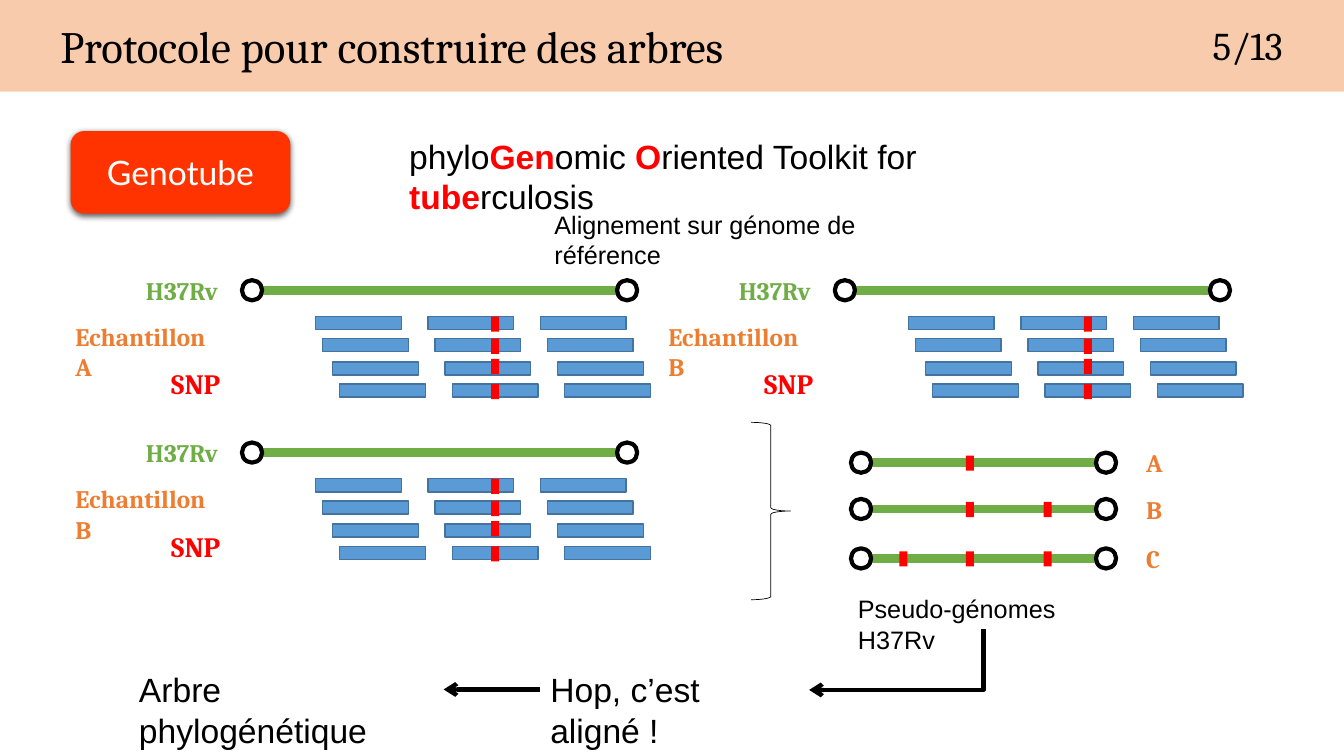
from lxml.etree import SubElement
from pptx import Presentation
from pptx.dml.color import RGBColor
from pptx.enum.shapes import MSO_CONNECTOR, MSO_SHAPE
from pptx.enum.text import MSO_ANCHOR, PP_ALIGN
from pptx.oxml.ns import qn
from pptx.util import Inches, Pt

BLACK = RGBColor(0x00, 0x00, 0x00)
WHITE = RGBColor(0xFF, 0xFF, 0xFF)
RED = RGBColor(0xFF, 0x00, 0x00)
GREEN = RGBColor(0x70, 0xAD, 0x47)
ORANGE = RGBColor(0xED, 0x7D, 0x31)
BLUE = RGBColor(0x5B, 0x9B, 0xD5)
DARK_BLUE = RGBColor(0x43, 0x73, 0x9E)
PEACH = RGBColor(0xF8, 0xCB, 0xAD)
VERMILION = RGBColor(0xFF, 0x33, 0x00)

# Content
TITLE = "Protocole pour construire des arbres"
PAGE_NUMBER = "5/13"
TOOL = "Genotube"
# (text, highlighted)
TOOL_MEANING = [("phylo", False), ("Gen", True), ("omic ", False), ("O", True),
                ("riented Toolkit for ", False), ("tube", True), ("rculosis", False)]
ALIGNMENT = "Alignement sur génome de référence"
REFERENCE = "H37Rv"
VARIANT = "SNP"
# (sample, left and top of the reference genome)
PANELS = [("Echantillon A", 2.4, 2.78),
          ("Echantillon B", 8.28, 2.78),
          ("Echantillon B", 2.4, 4.39)]
# (label, top, left of each variant)
PSEUDO_GENOMES = [("A", 4.49, [9.58]),
                  ("B", 4.95, [9.58, 10.35]),
                  ("C", 5.44, [8.92, 9.58, 10.35])]
PSEUDO_CAPTION = "Pseudo-génomes H37Rv"
ALIGNED = "Hop, c’est aligné !"
TREE = "Arbre phylogénétique"

# Rows of reads below a reference: (shift right, read top, variant top)
READ_ROWS = [(0, 0.36, 0.36), (0.07, 0.58, 0.58), (0.17, 0.81, 0.78), (0.24, 1.03, 1.03)]
READ_COLUMNS = 3
READ_LEFT, READ_STEP = 0.73, 1.115
VARIANT_LEFT = 2.47
RING = 0.2

deck = Presentation()
deck.slide_width, deck.slide_height = Inches(13.33), Inches(7.5)
page = deck.slides.add_slide(deck.slide_layouts[6])


def add_box(kind, left, top, width, height, fill=None, line=None, weight=1):
    box = page.shapes.add_shape(kind, Inches(left), Inches(top), Inches(width), Inches(height))
    box.shadow.inherit = False
    if fill is None:
        box.fill.background()
    else:
        box.fill.solid()
        box.fill.fore_color.rgb = fill
    if line is None:
        box.line.fill.background()
    else:
        box.line.color.rgb = line
        box.line.width = Pt(weight)
    return box


def add_span(para, text, font, size, color, bold=False):
    span = para.add_run()
    span.text = text
    span.font.name = font
    span.font.size = Pt(size)
    span.font.bold = bold
    span.font.color.rgb = color


def add_text(left, top, width, height, spans, font, size):
    box = page.shapes.add_textbox(Inches(left), Inches(top), Inches(width), Inches(height))
    box.text_frame.word_wrap = True
    for text, color, bold in spans:
        add_span(box.text_frame.paragraphs[0], text, font, size, color, bold)
    return box


def add_label(left, top, width, text, color, size=18):
    add_text(left, top, width, 0.4, [(text, color, True)], "Cambria", size)


def add_line(kind, start_x, start_y, end_x, end_y, color, weight, arrow=False):
    line = page.shapes.add_connector(kind, Inches(start_x), Inches(start_y),
                                     Inches(end_x), Inches(end_y))
    line.line.color.rgb = color
    line.line.width = Pt(weight)
    properties = line._element.spPr
    if arrow:
        SubElement(properties.find(qn("a:ln")), qn("a:tailEnd"), type="arrow")
    SubElement(properties, qn("a:effectLst"))
    return line


def add_genome(left, right, top):
    middle = top + RING / 2
    add_line(MSO_CONNECTOR.STRAIGHT, left + RING, middle, right, middle, GREEN, 6)
    for ring_left in (left, right):
        add_box(MSO_SHAPE.OVAL, ring_left, top, RING, RING, WHITE, BLACK, 3)


def add_variant(left, top):
    add_box(MSO_SHAPE.RECTANGLE, left, top, 0.08, 0.15, RED)


# Title band
band = add_box(MSO_SHAPE.RECTANGLE, 0, 0, 13.33, 0.91, PEACH)
band.text_frame.word_wrap = True
band.text_frame.vertical_anchor = MSO_ANCHOR.MIDDLE
para = band.text_frame.paragraphs[0]
para.alignment = PP_ALIGN.JUSTIFY
para.level = 1
para._p.get_or_add_pPr().set("marL", str(Inches(0.5)))
para._p.get_or_add_pPr().set("indent", "0")
add_span(para, TITLE, "Cambria", 32, BLACK)
add_text(11.93, 0.16, 1.04, 0.57, [(PAGE_NUMBER, BLACK, False)], "Cambria", 28)

# Tool name and its meaning
tool = add_box(MSO_SHAPE.ROUNDED_RECTANGLE, 0.7, 1.3, 2.18, 0.82, VERMILION)
tool.text_frame.vertical_anchor = MSO_ANCHOR.MIDDLE
para = tool.text_frame.paragraphs[0]
para.alignment = PP_ALIGN.CENTER
add_span(para, TOOL, "Lato", 24, WHITE)
effects = tool._element.spPr.find(qn("a:effectLst"))
shadow = SubElement(effects, qn("a:outerShdw"), blurRad=str(Pt(4.5)), dist=str(Pt(1.5)),
                    dir="5400000", rotWithShape="0")
shade = SubElement(shadow, qn("a:srgbClr"), val="000000")
SubElement(shade, qn("a:alpha"), val="63000")
add_text(3.96, 1.3, 6.78, 0.5,
         [(text, RED if marked else BLACK, marked) for text, marked in TOOL_MEANING],
         "Arial", 24)
add_text(5.4, 2.03, 3.89, 0.4, [(ALIGNMENT, BLACK, False)], "Arial", 18)

# Reads aligned on the reference genome
for sample, left, top in PANELS:
    for shift, read_top, _ in READ_ROWS:
        for column in range(READ_COLUMNS):
            add_box(MSO_SHAPE.RECTANGLE, left + READ_LEFT + READ_STEP * column + shift,
                    top + read_top, 0.85, 0.13, BLUE, DARK_BLUE)
    add_genome(left, left + 3.72, top)
    for _, _, variant_top in READ_ROWS:
        add_variant(left + VARIANT_LEFT, top + variant_top)
    add_label(left - 1.05, top - 0.1, 0.93, REFERENCE, GREEN)
    add_label(left - 1.75, top + 0.36, 1.63, sample, ORANGE)
    add_label(left - 0.8, top + 0.81, 0.72, VARIANT, RED, 20)

# Pseudo-genomes
add_box(MSO_SHAPE.RIGHT_BRACE, 7.45, 4.19, 0.39, 1.76, None, BLACK, 0.5)
for label, top, variants in PSEUDO_GENOMES:
    add_genome(8.44, 10.87, top)
    for variant_left in variants:
        add_variant(variant_left, top + 0.03)
    add_label(11.27, top - 0.1, 0.36, label, ORANGE)
add_text(8.41, 5.84, 2.68, 0.4, [(PSEUDO_CAPTION, BLACK, False)], "Arial", 18)

# Steps to the tree
aligned = add_text(5.36, 6.59, 2.66, 0.5, [(ALIGNED, BLACK, False)], "Arial", 24)
tree = add_text(1.28, 6.59, 3.12, 0.5, [(TREE, BLACK, False)], "Arial", 24)
arrow = add_line(MSO_CONNECTOR.STRAIGHT, 5.36, 6.85, 4.4, 6.85, BLACK, 3, arrow=True)
arrow.begin_connect(aligned, 1)
arrow.end_connect(tree, 3)

# One-corner elbow, turned a quarter so that it runs down, then left
elbow = add_line(MSO_CONNECTOR.ELBOW, 8.59, 5.68, 9.19, 7.41, BLACK, 3, arrow=True)
elbow._element.spPr.find(qn("a:prstGeom")).set("prst", "bentConnector2")
elbow._element.spPr.find(qn("a:xfrm")).set("rot", "5400000")

deck.save("out.pptx")
